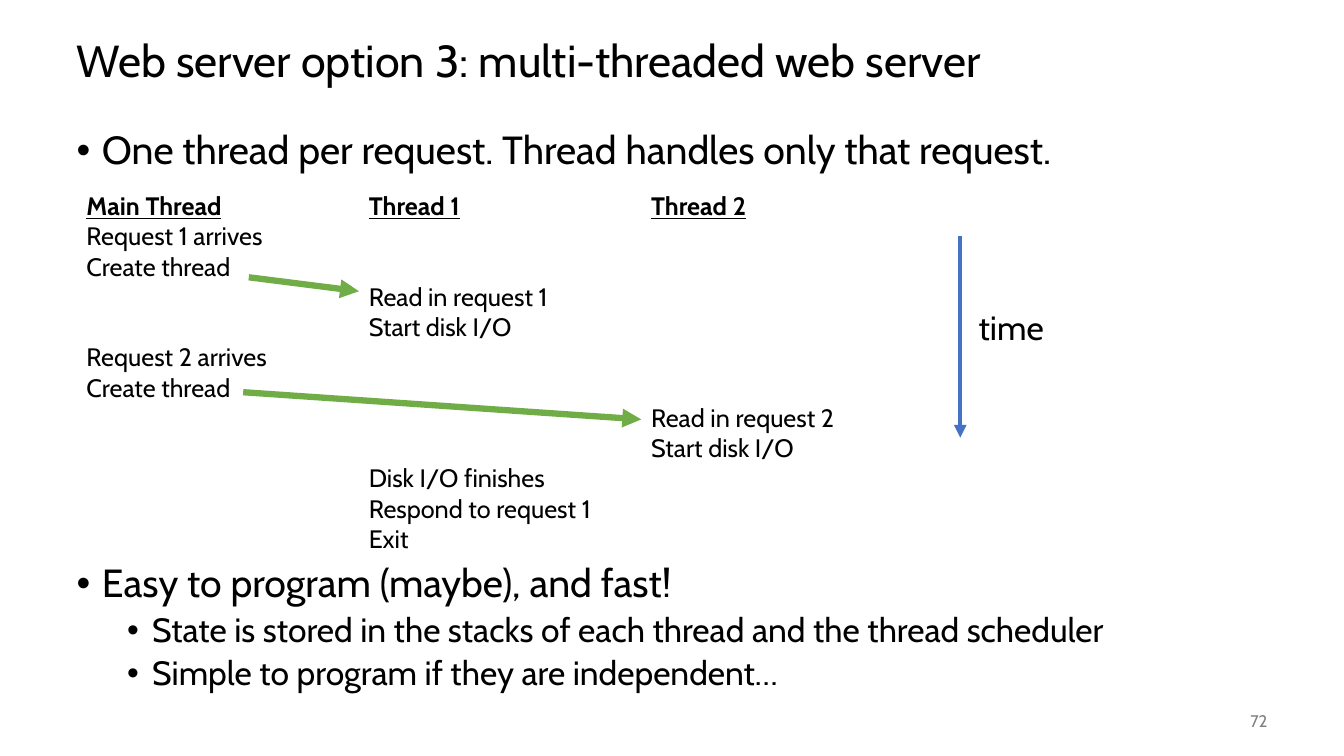
from pptx import Presentation
from pptx.dml.color import RGBColor
from pptx.enum.shapes import MSO_CONNECTOR as Link
from pptx.enum.text import MSO_ANCHOR as Anchor, MSO_AUTO_SIZE as Fit, PP_ALIGN as Align
from pptx.oxml.ns import qn
from pptx.util import Inches, Pt
from lxml.etree import SubElement

FONT = "Cabin"
BLACK, GREY, BLUE, GREEN = "000000", "808080", "4472C4", "70AD47"
COL, ROW = 2.8, 0.3  # thread grid, inches
LINE = ROW * 72      # one grid row, points

# Each thread: (row, text)
THREADS = [
    [(0, "Main Thread"), (1, "Request 1 arrives"), (2, "Create thread"),
     (5, "Request 2 arrives"), (6, "Create thread")],
    [(0, "Thread 1"), (3, "Read in request 1"), (4, "Start disk I/O"),
     (9, "Disk I/O finishes"), (10, "Respond to request 1"), (11, "Exit")],
    [(0, "Thread 2"), (7, "Read in request 2"), (8, "Start disk I/O")],
]
# Arrows: start and end as (column, row), colour, width
ARROWS = [
    ((3.13, 1.5), (3.13, 8.17), BLUE, 3),
    ((0.61, 2.87), (1, 3.33), GREEN, 4.5),
    ((0.59, 6.67), (2, 7.57), GREEN, 4.5),
]
# Bullets: level, space before, size, text
POINTS = [
    (0, 0, 28, "One thread per request. Thread handles only that request."),
    (0, 279, 28, "Easy to program (maybe), and fast!"),
    (1, 5, 24, "State is stored in the stacks of each thread and the thread scheduler"),
    (1, 5, 24, "Simple to program if they are independent…"),
]


def tint(code):
    return RGBColor.from_string(code)


def write(para, text, size, color=BLACK, **style):
    run = para.add_run()
    run.text = text
    for key, val in dict(name=FONT, size=Pt(size), **style).items():
        setattr(run.font, key, val)
    run.font.color.rgb = tint(color)


def place(shape, box):
    for key, val in zip(("left", "top", "width", "height"), box):
        setattr(shape, key, Inches(val))
    shape.text_frame.auto_size = Fit.NONE
    return shape.text_frame


def label(slide, box, wrap=True):
    shape = slide.shapes.add_textbox(0, 0, 0, 0)
    frame = place(shape, box)
    frame.word_wrap = wrap
    return frame


def paras(frame, items):
    for i, item in enumerate(items):
        yield (frame.add_paragraph() if i else frame.paragraphs[0]), item


def title(slide, box):
    frame = place(slide.shapes.title, box)
    frame.vertical_anchor = Anchor.MIDDLE
    para = frame.paragraphs[0]
    para.alignment, para.line_spacing = Align.LEFT, 0.9
    write(para, "Web server option 3: multi-threaded web server", 32)


def body(slide, box):
    frame = place(slide.placeholders[1], box)
    for para, (level, gap, size, text) in paras(frame, POINTS):
        para.level, para.line_spacing, para.space_before = level, 0.9, Pt(gap)
        props = para._p.get_or_add_pPr()
        props.set("marL", str(Inches(0.25 + 0.5 * level)))
        props.set("indent", str(Inches(-0.25)))
        SubElement(props, qn("a:buFont")).set("typeface", "Arial")
        SubElement(props, qn("a:buChar")).set("char", "•")
        write(para, text, size)


def thread(slide, box, steps):
    frame = label(slide, box)
    last = -1
    for para, (row, text) in paras(frame, steps):
        para.space_before = Pt((row - last - 1) * LINE)
        head = row == 0
        write(para, text, 18, bold=head, underline=head)
        last = row


def arrow(slide, start, end, color, width):
    ends = [Inches(v) for v in (*start, *end)]
    line = slide.shapes.add_connector(Link.STRAIGHT, *ends)
    line.line.color.rgb = tint(color)
    line.line.width = Pt(width)
    SubElement(line.line._get_or_add_ln(), qn("a:tailEnd")).set("type", "triangle")
    SubElement(line._element.spPr, qn("a:effectLst"))


def chart(slide, left, top):
    """Thread columns, arrows and time axis on one grid."""
    def spot(col, row):
        return left + col * COL, top + 0.05 + row * ROW

    for col, steps in enumerate(THREADS):
        thread(slide, (left + col * COL, top, COL, 3.74), steps)
    for start, end, color, width in ARROWS:
        arrow(slide, spot(*start), spot(*end), color, width)
    frame = label(slide, (*spot(3.16, 3.7), 0.85, 0.5), wrap=False)
    write(frame.paragraphs[0], "time", 24)


def number(slide, box):
    frame = label(slide, box)
    frame.vertical_anchor = Anchor.MIDDLE
    frame.paragraphs[0].alignment = Align.RIGHT
    write(frame.paragraphs[0], "72", 12, GREY)


def main():
    deck = Presentation()
    deck.slide_width, deck.slide_height = Inches(13.33), Inches(7.5)
    slide = deck.slides.add_slide(deck.slide_layouts[1])
    title(slide, (0.66, 0.25, 12, 0.75))
    body(slide, (0.66, 1.25, 12, 5.84))
    chart(slide, 0.76, 1.84)
    number(slide, (11.67, 6.95, 1, 0.4))
    deck.save("out.pptx")


if __name__ == "__main__":
    main()
